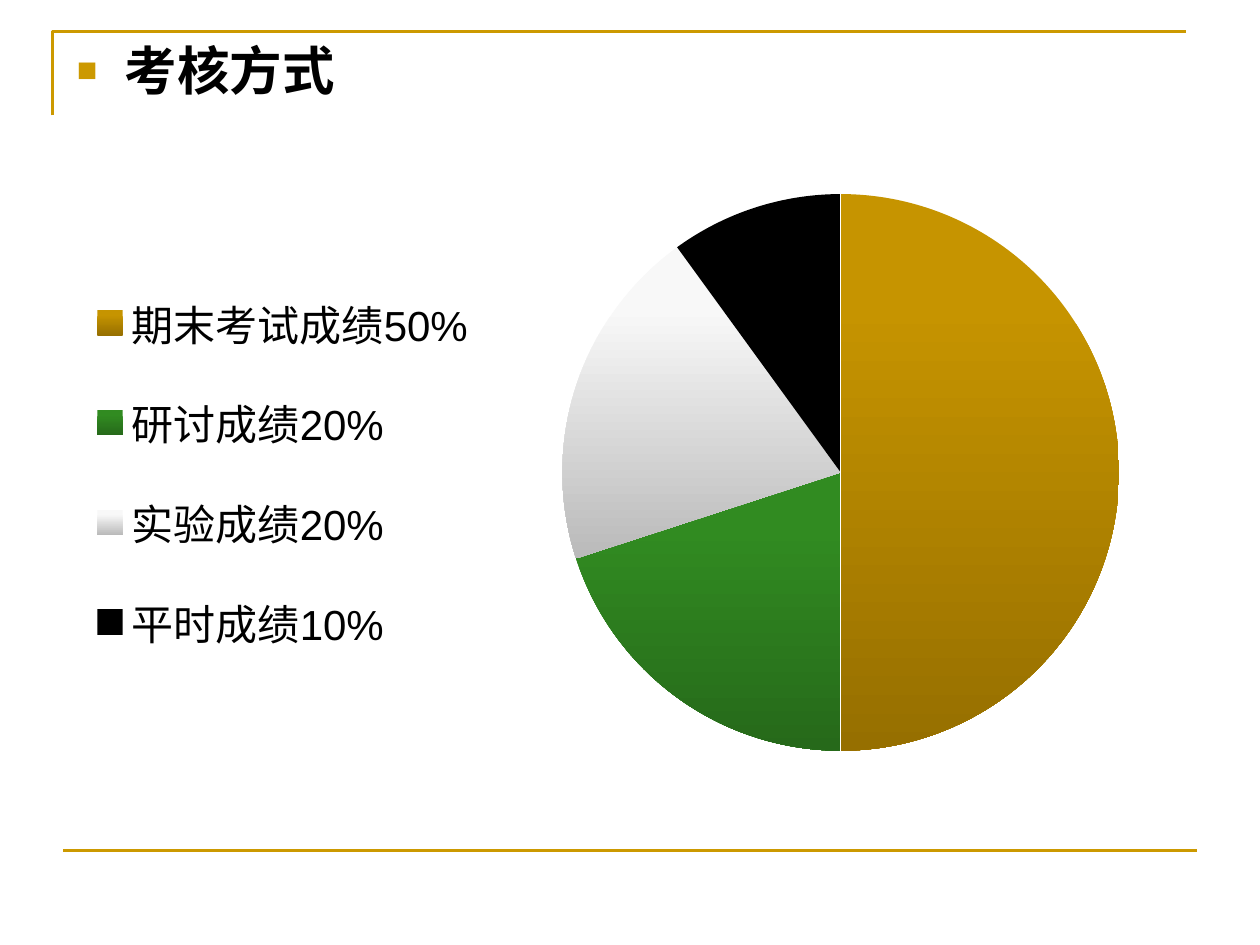
from lxml import etree
from pptx import Presentation, oxml
from pptx.chart.data import CategoryChartData
from pptx.dml.color import RGBColor
from pptx.enum import chart as charts, shapes, text
from pptx.oxml.ns import qn
from pptx.util import Inches, Pt

GOLD = "CC9900"
BLACK = "000000"
GRADES = [
    ("期末考试成绩50%", 50, "C69400", "966F00"),
    ("研讨成绩20%", 20, "318B21", "26691A"),
    ("实验成绩20%", 20, "F8F8F8", "BABABA"),
    ("平时成绩10%", 10, BLACK, BLACK),
]


def colour(hex_value):
    return RGBColor.from_string(hex_value)


def style_rule(rule):
    rule.line.color.rgb = colour(GOLD)
    rule.line.width = Pt(1.5)


def add_corner(slide):
    builder = slide.shapes.build_freeform(Inches(0.415), Inches(0.915))
    builder.add_line_segments(
        [(Inches(0.415), Inches(0.25)), (Inches(9.415), Inches(0.25))], close=False)
    corner = builder.convert_to_shape()
    corner.fill.background()
    corner.shadow.inherit = False
    style_rule(corner)


def add_footer_rule(slide):
    rule = slide.shapes.add_connector(
        shapes.MSO_CONNECTOR.STRAIGHT,
        Inches(0.5), Inches(6.75), Inches(9.5), Inches(6.75))
    style_rule(rule)
    etree.SubElement(rule._element.spPr, qn("a:effectLst"))


def add_bullet(paragraph):
    props = paragraph._p.get_or_add_pPr()
    props.set("marL", str(Inches(0.38)))
    props.set("indent", str(-Inches(0.38)))
    marker = etree.SubElement(props, qn("a:buClr"))
    etree.SubElement(marker, qn("a:srgbClr"), val=GOLD)
    etree.SubElement(props, qn("a:buSzPct"), val="65000")
    etree.SubElement(props, qn("a:buFont"), typeface="Arial")
    etree.SubElement(props, qn("a:buChar"), char="■")


def set_title(slide, wording):
    title = slide.shapes.title
    title.left, title.top = Inches(0.51), Inches(0.25)
    title.width, title.height = Inches(9.21), Inches(2.47)
    frame = title.text_frame
    frame.text = wording
    frame.word_wrap = True
    frame.auto_size = text.MSO_AUTO_SIZE.NONE
    frame.vertical_anchor = text.MSO_ANCHOR.TOP
    heading = frame.paragraphs[0]
    heading.alignment = text.PP_ALIGN.LEFT
    add_bullet(heading)
    heading.font.name = "Arial"
    heading.font.size = Pt(30)
    heading.font.bold = True
    heading.font.color.rgb = colour(BLACK)


def place(element, index, **fractions):
    for old in element.findall(qn("c:layout")):
        element.remove(old)
    layout = oxml.parse_xml(
        '<c:layout xmlns:c="http://schemas.openxmlformats.org/drawingml/2006/chart"/>')
    manual = etree.SubElement(layout, qn("c:manualLayout"))
    if element.tag == qn("c:plotArea"):
        etree.SubElement(manual, qn("c:layoutTarget"), val="inner")
    for mode in ("xMode", "yMode"):
        etree.SubElement(manual, qn("c:" + mode), val="edge")
    for name, value in fractions.items():
        etree.SubElement(manual, qn("c:" + name), val=str(value))
    element.insert(index, layout)


def shade(fill, top, bottom):
    fill.gradient()
    fill.gradient_angle = 270
    for stop, tone, position in zip(fill.gradient_stops, (top, bottom), (0.2, 1)):
        stop.color.rgb = colour(tone)
        stop.position = position


def add_grade_pie(slide):
    data = CategoryChartData()
    data.categories = [grade[0] for grade in GRADES]
    data.add_series("Series 1", [grade[1] for grade in GRADES])
    pie = slide.shapes.add_chart(
        charts.XL_CHART_TYPE.PIE, Inches(0.56), Inches(1.4),
        Inches(8.86), Inches(4.7), data).chart
    pie.has_title = False
    pie.font.name = "Arial"
    pie.font.size = Pt(10)
    pie.font.color.rgb = colour(BLACK)
    pie.has_legend = True
    pie.legend.position = charts.XL_LEGEND_POSITION.LEFT
    pie.legend.include_in_layout = False
    pie.legend.font.name = "Arial"
    pie.legend.font.size = Pt(24)
    pie.legend.font.color.rgb = colour(BLACK)
    place(pie.legend._element, 1, x=0, y=0.13, w=0.38, h=0.74)
    place(pie._chartSpace.chart.plotArea, 0, x=0.44, y=0.03, w=0.5, h=0.94)
    plot = pie.plots[0]
    plot.vary_by_categories = True
    for index, (_, _, top, bottom) in enumerate(GRADES):
        wedge = plot.series[0].points[index].format
        shade(wedge.fill, top, bottom)
        wedge.line.fill.background()


def main():
    deck = Presentation()
    deck.slide_width, deck.slide_height = Inches(10), Inches(7.5)
    slide = deck.slides.add_slide(deck.slide_layouts[5])
    add_corner(slide)
    add_footer_rule(slide)
    set_title(slide, "考核方式")
    add_grade_pie(slide)
    deck.save("out.pptx")


main()
